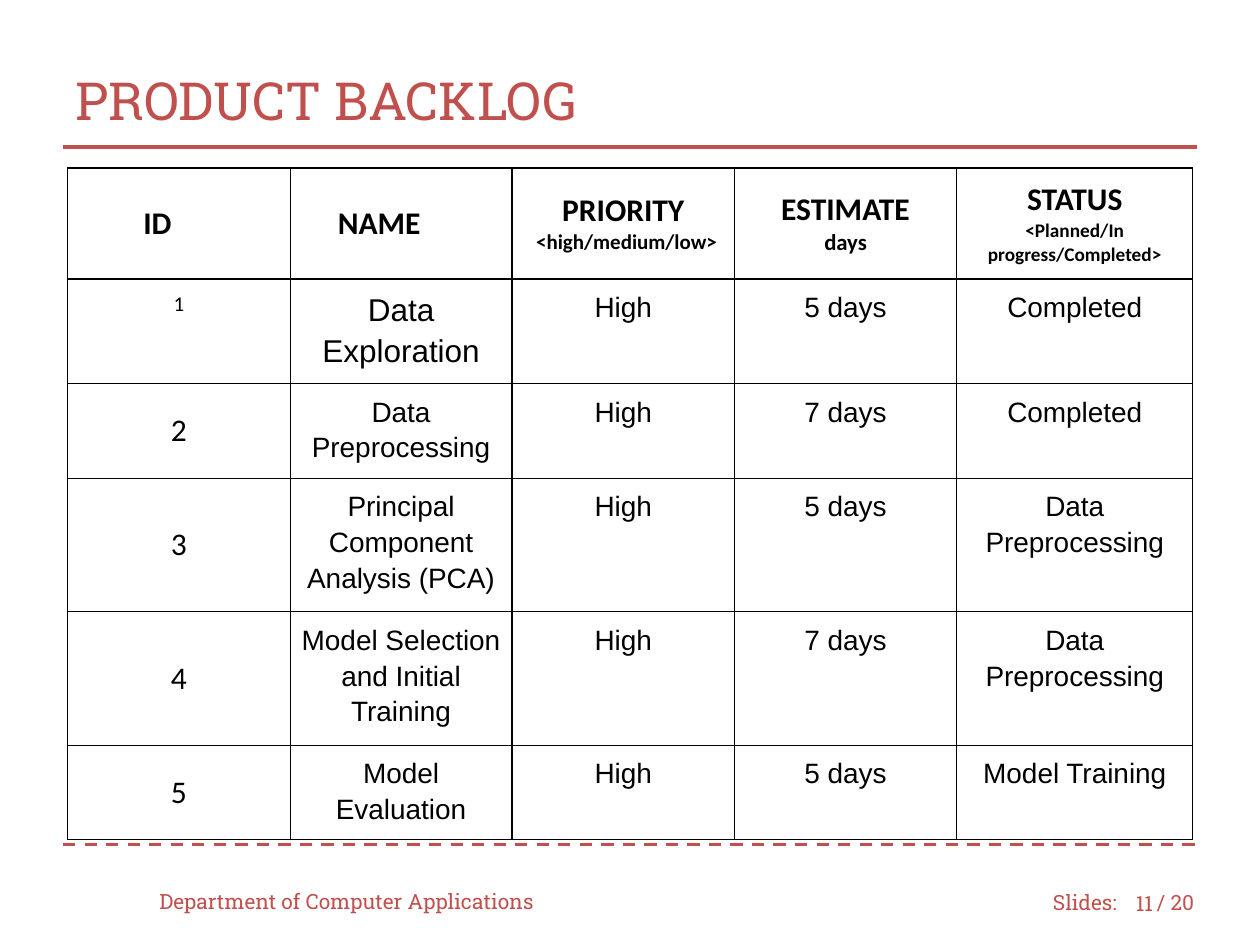
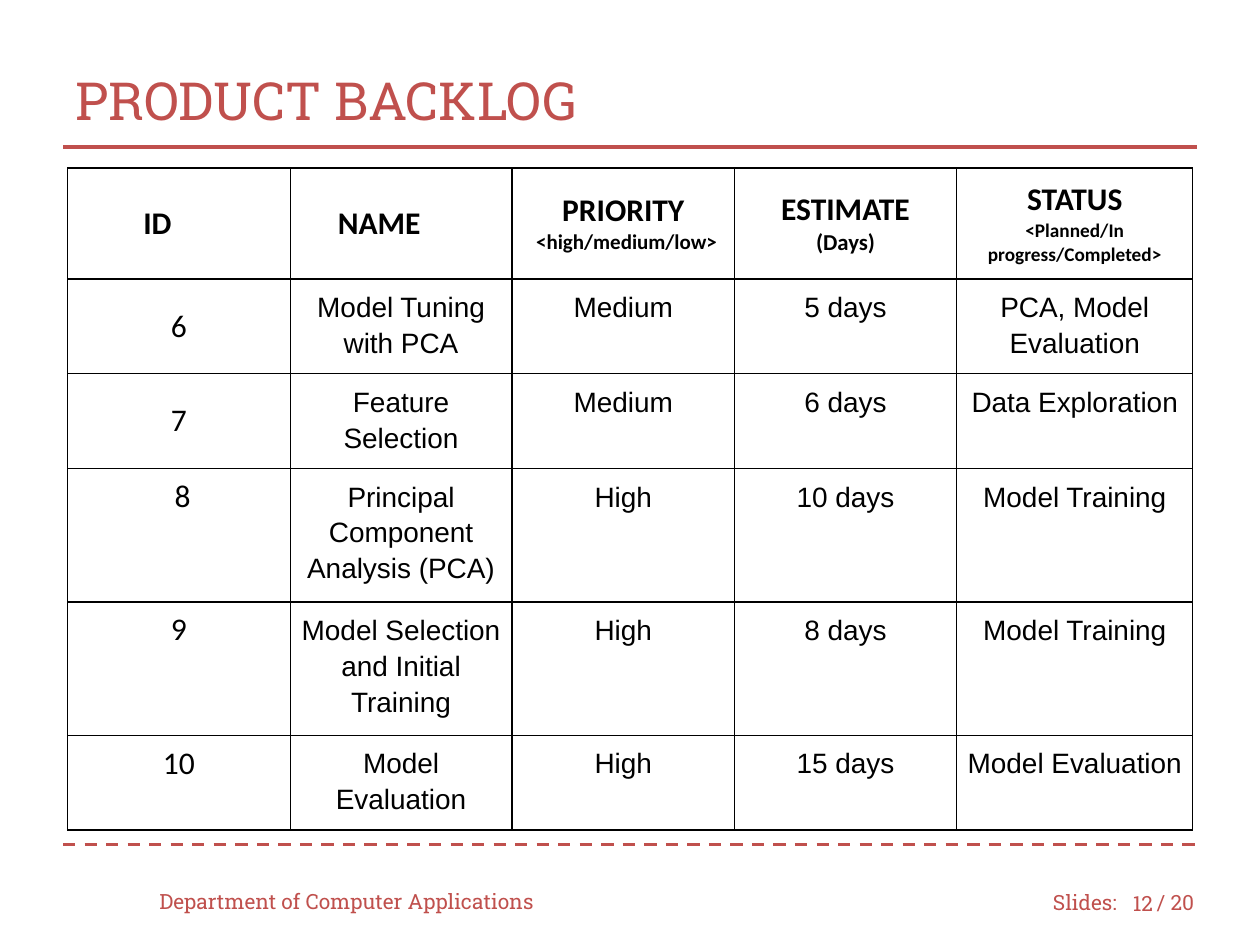
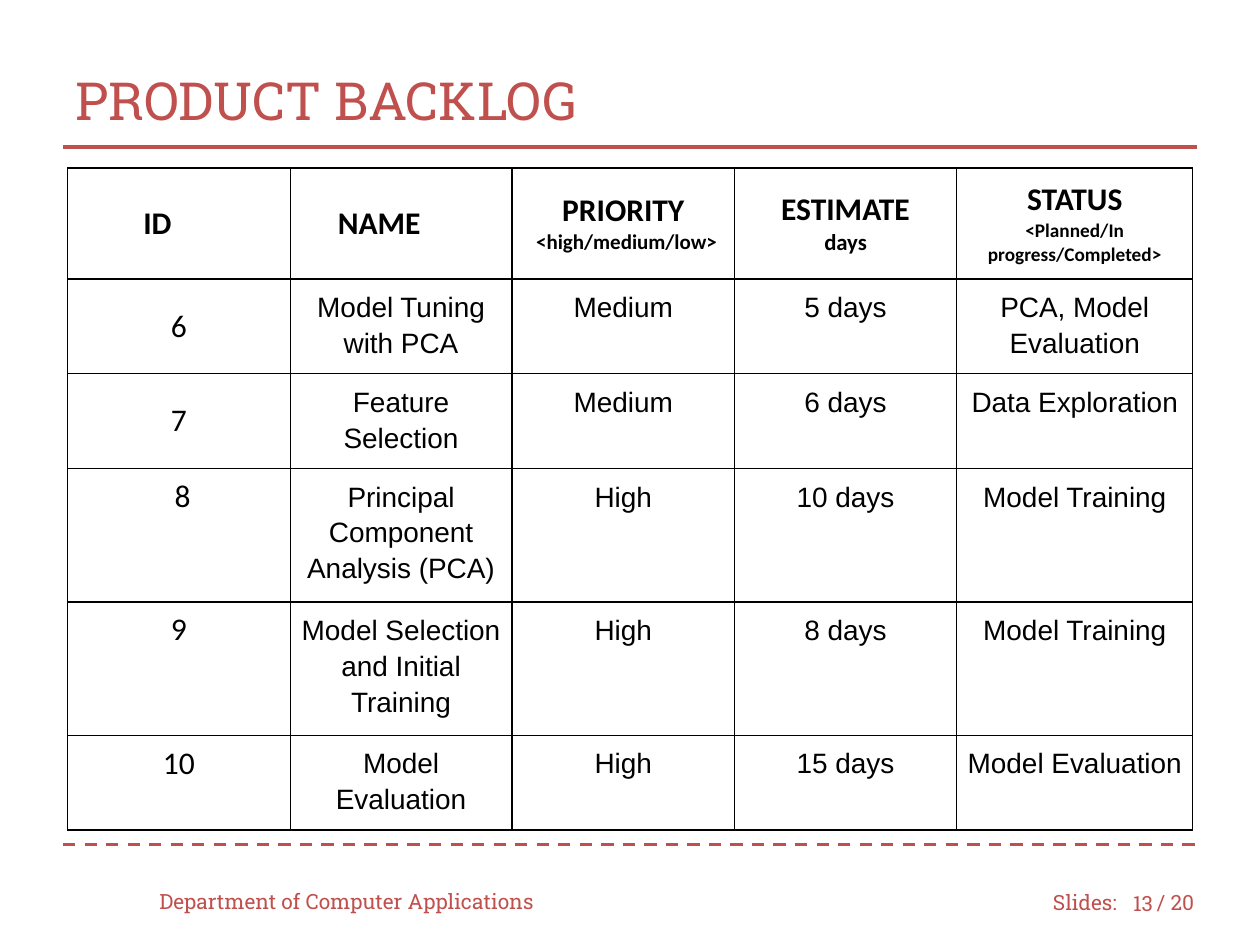
from lxml.etree import SubElement
from pptx import Presentation
from pptx.dml.color import RGBColor
from pptx.enum.dml import MSO_LINE
from pptx.enum.shapes import MSO_CONNECTOR
from pptx.enum.text import MSO_ANCHOR, PP_ALIGN
from pptx.oxml.ns import qn
from pptx.util import Inches, Pt

COLORS = {"accent": "C0504D", "ink": "000000", "paper": "FFFFFF"}
LEFT, CENTER, RIGHT = PP_ALIGN.LEFT, PP_ALIGN.CENTER, PP_ALIGN.RIGHT

presentation = Presentation()
presentation.slide_width, presentation.slide_height = Inches(10), Inches(7.5)

# Grid: 120 columns by 90 rows
UNIT_X = presentation.slide_width / 120
UNIT_Y = presentation.slide_height / 90

# Shared text boxes: text, left, top, width, height, size, alignment
FRAME_TEXTS = [
    ("Slides:", 99.1, 83.5, 9, 4.8, 12, LEFT),
    ("/ 20", 109, 83.5, 7, 4.8, 12, LEFT),
    ("PRODUCT BACKLOG", 6, 4, 108, 11, 30, LEFT),
    ("Department of Computer Applications", 14, 83.4, 40, 4.8, 12, LEFT),
]
RULES = [(80.4, MSO_LINE.DASH), (14, MSO_LINE.SOLID)]

# Table measures and cell styles
COLUMN_WIDTHS = [21.17] * 4 + [22.5]
VERTICAL_BORDERS = [0.5, 0.5, 1, 1, 1, 0.5]
ROOMY, SNUG = 0.1, 0.07
BODY_FORMAT = {"name": "Arial", "size": Pt(16), "bold": False}
ID_FORMAT = {"name": "Calibri", "size": Pt(18), "bold": False}

# Header cells: paragraphs of text, size, alignment, indent in inches
HEADER = [
    [("ID", 18, LEFT, 0.5)],
    [("NAME", 18, LEFT, 0.28)],
    [("PRIORITY", 18, CENTER, 0), ("<high/medium/low>", 12, LEFT, 0.09)],
    [("ESTIMATE", 18, CENTER, 0), ("days", 13, CENTER, 0)],
    [("STATUS", 18, CENTER, 0), ("<Planned/In progress/Completed>", 11, CENTER, 0)],
]

FIRST_ITEMS = [
    ("1", "Data Exploration", "High", "5 days", "Completed"),
    ("2", "Data Preprocessing", "High", "7 days", "Completed"),
    ("3", "Principal Component Analysis (PCA)", "High", "5 days", "Data Preprocessing"),
    ("4", "Model Selection and Initial Training", "High", "7 days", "Data Preprocessing"),
    ("5", "Model Evaluation", "High", "5 days", "Model Training"),
]
LATER_ITEMS = [
    ("6", "Model Tuning with PCA", "Medium", "5 days", "PCA, Model Evaluation"),
    ("7", "Feature Selection", "Medium", "6 days", "Data Exploration"),
    ("8", "Principal Component Analysis (PCA)", "High", "10 days", "Model Training"),
    ("9", "Model Selection and Initial Training", "High", "8 days", "Model Training"),
    ("10", "Model Evaluation", "High", "15 days", "Model Evaluation"),
]
FIRST_HEIGHTS = [10.56, 9.33, 8.48, 11.9, 11.9, 8.48]
LATER_HEIGHTS = [10.56, 8.48, 8.48, 11.9, 11.9, 8.48]
FIRST_BORDERS = [1, 1, 0.5, 0.5, 0.5, 0.5, 0.5]
LATER_BORDERS = [1] * 7

# Slides: number, items, row heights, horizontal borders, estimate unit, centred IDs
SLIDES = [
    ("11", FIRST_ITEMS, FIRST_HEIGHTS, FIRST_BORDERS, "days", "2345"),
    ("12", LATER_ITEMS, LATER_HEIGHTS, LATER_BORDERS, "(Days)", "67"),
    ("13", LATER_ITEMS, LATER_HEIGHTS, LATER_BORDERS, "days", "67"),
]


def write(paragraph, text, font_format, color, alignment, indent=0):
    paragraph.alignment = alignment
    if indent:
        paragraph._p.get_or_add_pPr().set("marL", str(Inches(indent)))
    run = paragraph.add_run()
    run.text = text
    for attribute, value in font_format.items():
        setattr(run.font, attribute, value)
    run.font.color.rgb = RGBColor.from_string(COLORS[color])


def style_cell(cell, margin, anchor, borders):
    for side in ("left", "top", "right", "bottom"):
        setattr(cell, f"margin_{side}", Inches(margin))
    cell.vertical_anchor = anchor
    properties = cell._tc.get_or_add_tcPr()
    for tag, width in borders.items():
        line = SubElement(properties, qn(f"a:{tag}"), w=str(Pt(width)))
        SubElement(SubElement(line, qn("a:solidFill")), qn("a:srgbClr"), val=COLORS["ink"])
    cell.fill.solid()
    cell.fill.fore_color.rgb = RGBColor.from_string(COLORS["paper"])


for number, items, heights, borders, estimate_unit, centred_ids in SLIDES:
    slide = presentation.slides.add_slide(presentation.slide_layouts[6])

    # Rules above and below the content
    for row, dash in RULES:
        y = round(row * UNIT_Y)
        rule = slide.shapes.add_connector(
            MSO_CONNECTOR.STRAIGHT, round(6 * UNIT_X), y, round(114 * UNIT_X), y)
        rule.line.color.rgb = RGBColor.from_string(COLORS["accent"])
        rule.line.width = Pt(1.75)
        rule.line.dash_style = dash
        SubElement(rule._element.spPr, qn("a:effectLst"))

    # Title, footer and slide number
    page_text = (number, 106, 83.6, 5, 4.8, 12, RIGHT)
    for text, left, top, width, height, size, alignment in FRAME_TEXTS + [page_text]:
        box = slide.shapes.add_textbox(round(left * UNIT_X), round(top * UNIT_Y),
                                       round(width * UNIT_X), round(height * UNIT_Y))
        box.text_frame.word_wrap = True
        box.text_frame.vertical_anchor = MSO_ANCHOR.MIDDLE
        write(box.text_frame.paragraphs[0], text,
              {"name": "Roboto Slab", "size": Pt(size)}, "accent", alignment)

    # Backlog table
    table = slide.shapes.add_table(
        len(heights), len(COLUMN_WIDTHS), round(6.45 * UNIT_X), round(16 * UNIT_Y),
        round(sum(COLUMN_WIDTHS) * UNIT_X), round(sum(heights) * UNIT_Y)).table
    table.first_row = table.horz_banding = False
    for column, width in zip(table.columns, COLUMN_WIDTHS):
        column.width = round(width * UNIT_X)
    for row, height in zip(table.rows, heights):
        row.height = round(height * UNIT_Y)

    for row in range(len(heights)):
        for column in range(len(COLUMN_WIDTHS)):
            cell = table.cell(row, column)
            item_id = items[row - 1][0] if row else ""
            roomy = row == 0 or (column == 0 and item_id in centred_ids)
            style_cell(cell, ROOMY if roomy else SNUG,
                       MSO_ANCHOR.MIDDLE if roomy else MSO_ANCHOR.TOP,
                       {"lnL": VERTICAL_BORDERS[column], "lnR": VERTICAL_BORDERS[column + 1],
                        "lnT": borders[row], "lnB": borders[row + 1]})
            paragraph = cell.text_frame.paragraphs[0]

            # Header cell
            if row == 0:
                for index, (text, size, alignment, indent) in enumerate(HEADER[column]):
                    if index:
                        paragraph = cell.text_frame.add_paragraph()
                    write(paragraph, estimate_unit if text == "days" else text,
                          {"name": "Calibri", "size": Pt(size), "bold": True},
                          "ink", alignment, indent)
                continue

            # Item cell
            font_format = dict(BODY_FORMAT if column else ID_FORMAT)
            if item_id == "1" and column < 2:
                font_format["size"] = Pt(18 if column else 12)
            if column or item_id == "1":
                paragraph.line_spacing = 1.15
            write(paragraph, items[row - 1][column], font_format, "ink", CENTER,
                  0.06 if column == 0 and item_id == "8" else 0)

presentation.save("out.pptx")
